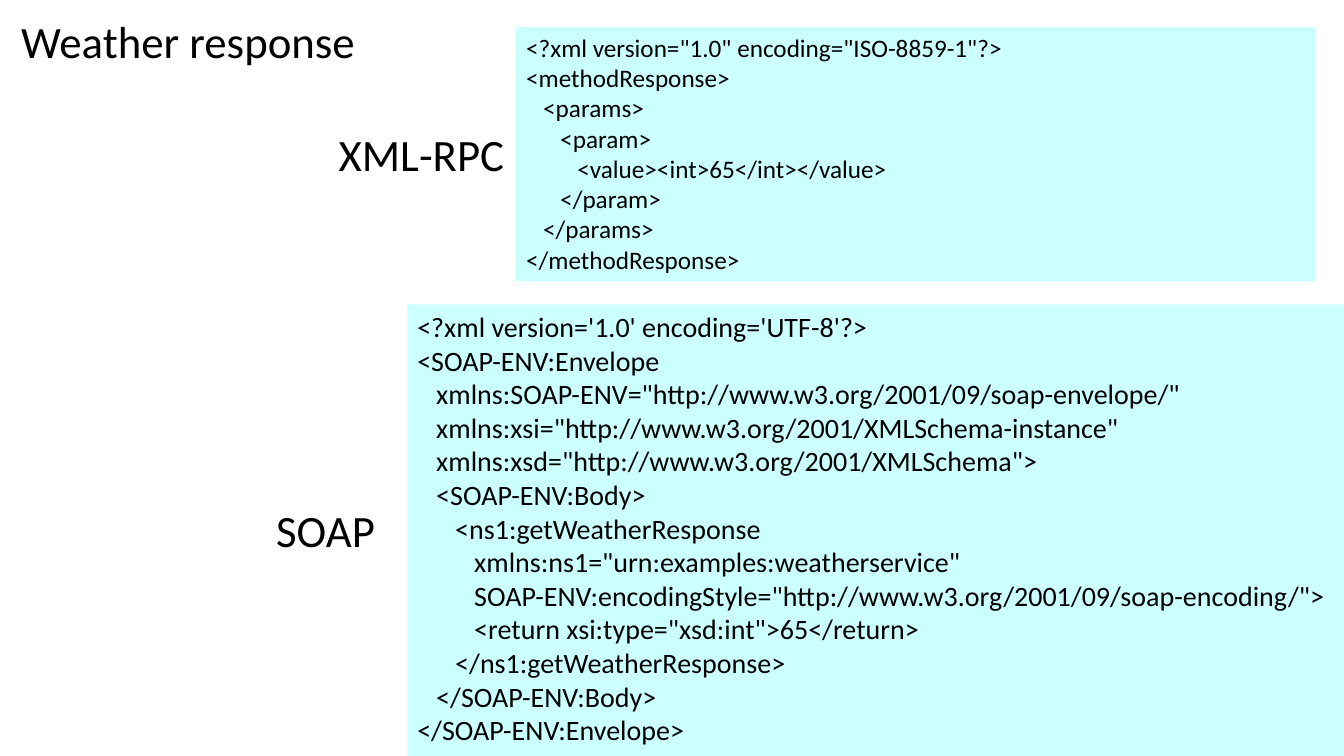
from pptx import Presentation
from pptx.dml.color import RGBColor
from pptx.enum import shapes, text
from pptx.util import Inches, Pt

XML_RPC = """<?xml version="1.0" encoding="ISO-8859-1"?>
<methodResponse>
   <params>
      <param>
         <value><int>65</int></value>
      </param>
   </params>
</methodResponse>"""

SOAP = """<?xml version='1.0' encoding='UTF-8'?>
<SOAP-ENV:Envelope
   xmlns:SOAP-ENV="http://www.w3.org/2001/09/soap-envelope/"
   xmlns:xsi="http://www.w3.org/2001/XMLSchema-instance"
   xmlns:xsd="http://www.w3.org/2001/XMLSchema">
   <SOAP-ENV:Body>
      <ns1:getWeatherResponse
         xmlns:ns1="urn:examples:weatherservice"
         SOAP-ENV:encodingStyle="http://www.w3.org/2001/09/soap-encoding/">
         <return xsi:type="xsd:int">65</return>
      </ns1:getWeatherResponse>
   </SOAP-ENV:Body>
</SOAP-ENV:Envelope>"""


def color(hex_string):
    """Turn a hex string into a colour."""
    return RGBColor.from_string(hex_string)


def write(frame, content, size=32, wrap=True, ink="000000", font="Calibri"):
    """Fill a text frame with left-aligned lines, one paragraph each."""
    frame.word_wrap = wrap
    frame.auto_size = text.MSO_AUTO_SIZE.NONE
    frame.vertical_anchor = text.MSO_ANCHOR.TOP
    for index, line in enumerate(content.split("\n")):
        paragraph = frame.add_paragraph() if index else frame.paragraphs[0]
        paragraph.alignment = text.PP_ALIGN.LEFT
        run = paragraph.add_run()
        run.text = line
        run.font.size = Pt(size)
        run.font.name = font
        run.font.color.rgb = color(ink)


def add_heading(slide, left, top, width, height):
    """Place the slide title in the given box."""
    heading = slide.shapes.title
    heading.left, heading.top = Inches(left), Inches(top)
    heading.width, heading.height = Inches(width), Inches(height)
    write(heading.text_frame, "Weather response")


def add_response(slide, protocol, code, left, top, width, height,
                 size, label_offset, label_width, wrap):
    """Place a code panel and its protocol label to the left of it."""
    panel = slide.shapes.add_shape(
        shapes.MSO_SHAPE.RECTANGLE,
        Inches(left), Inches(top), Inches(width), Inches(height))
    panel.shadow.inherit = False
    panel.fill.solid()
    panel.fill.fore_color.rgb = color("CCFFFF")
    panel.line.fill.background()
    write(panel.text_frame, code, size=size, wrap=wrap)
    label_left, label_top = label_offset
    label = slide.shapes.add_textbox(
        Inches(left + label_left), Inches(top + label_top),
        Inches(label_width), Inches(0.64))
    write(label.text_frame, protocol, wrap=False)


def main():
    """Build the weather response slide."""
    deck = Presentation()
    deck.slide_width, deck.slide_height = Inches(13.33), Inches(7.5)
    slide = deck.slides.add_slide(deck.slide_layouts[5])
    add_response(slide, "SOAP", SOAP, 4.04, 3.02, 9.29, 4.48,
                 size=20, label_offset=(-1.4, 1.92), label_width=1.19, wrap=False)
    add_response(slide, "XML-RPC", XML_RPC, 5.12, 0.27, 7.93, 2.52,
                 size=18, label_offset=(-1.86, 0.94), label_width=1.86, wrap=True)
    add_heading(slide, 0.11, 0.09, 3.84, 0.64)
    deck.save("out.pptx")


if __name__ == "__main__":
    main()
